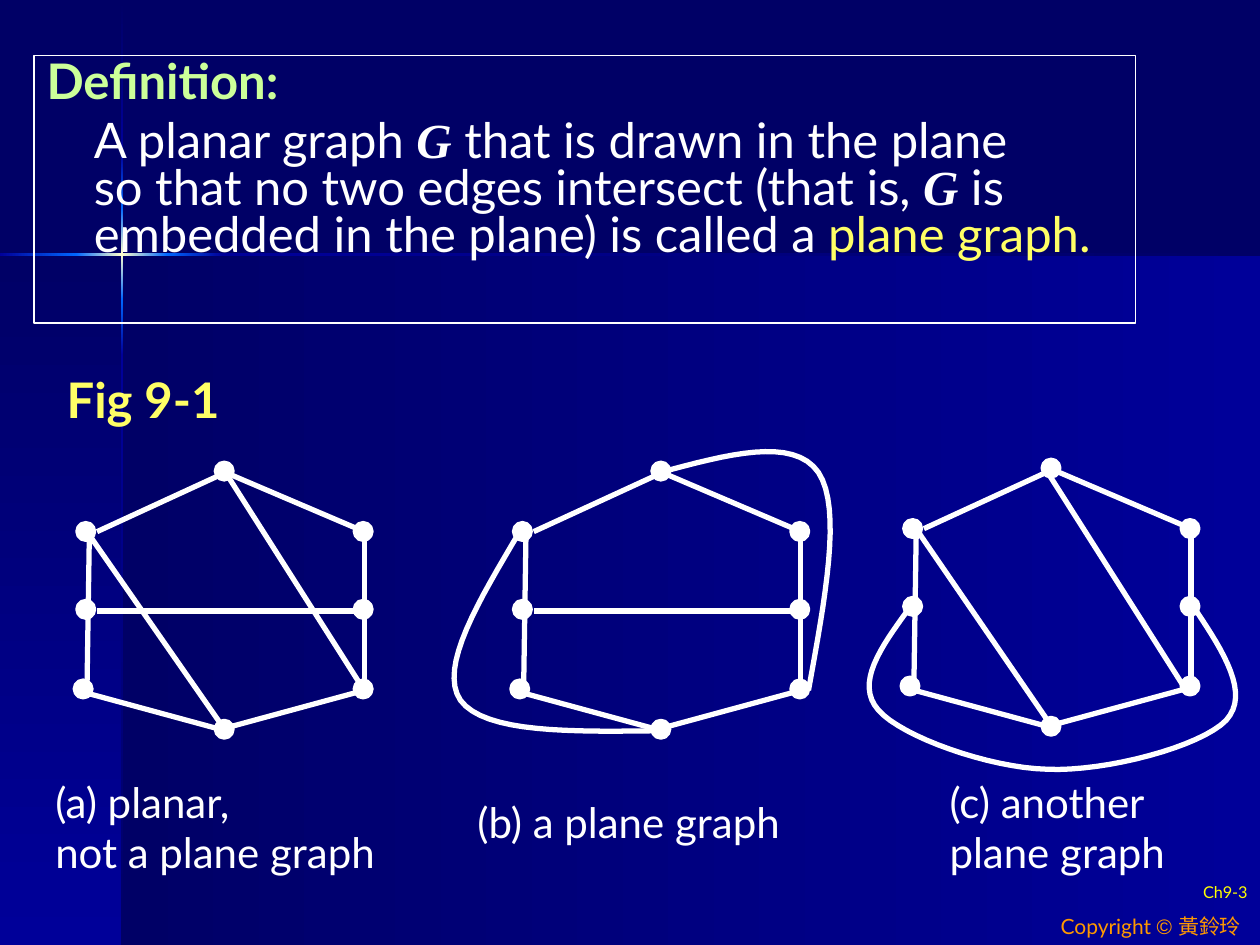
from dataclasses import dataclass

from lxml.etree import SubElement
from pptx import Presentation
from pptx.dml.color import RGBColor
from pptx.enum.shapes import MSO_CONNECTOR, MSO_SHAPE
from pptx.enum.text import MSO_ANCHOR, PP_ALIGN
from pptx.oxml.ns import qn
from pptx.util import Pt


@dataclass(frozen=True)
class Theme:
    navy: str = "000066"
    blue: str = "000099"
    glow: str = "0066FF"
    spark: str = "FFFFCC"
    white: str = "FFFFFF"
    lime: str = "CCFF99"
    lemon: str = "FFFF66"
    yellow: str = "FFFF00"
    orange: str = "FF9900"
    sans: str = "Lato"
    serif: str = "Times New Roman"
    symbol: str = "Arial"
    heading: float = 28
    caption: float = 24
    footer: float = 12
    number: float = 9.3
    edge: float = 3
    dot_line: float = 2
    frame: float = 0.75


THEME = Theme()
DOT = 10
NODES = [(80.6, 0), (1.5, 34.5), (160, 34.5), (1.5, 79), (160, 79),
         (0, 124.5), (160, 124.5), (80.6, 147.5)]
OUTLINE = [((8.6, 39.6), (7.2, 130.3)), ((86.4, 5.8), (13, 39.6)),
           ((86.4, 5.8), (165.6, 39.6)), ((1.4, 130.3), (86.4, 153.4)),
           ((165.6, 130.3), (80.6, 153.4)), ((165.6, 39.6), (165.6, 130.3))]
MIDDLE = ((165.6, 85), (13, 85))
CROSSING = [((7.2, 39.6), (86.4, 153.4)), ((86.4, 5.8), (165.6, 130.3))]
PARALLEL = [((9.4, 41), (83.5, 149)), ((83.5, 7.2), (162.7, 131.8))]
RIGHT_LOOP = [(85, 5.8), (123, -4.3), (161.3, -15.1), (175.7, 5.8),
              (189.4, 26.6), (179.3, 78.5), (170, 130.3)]
LEFT_LOOP = [(5, 39.6), (-18, 78.5), (-41.8, 117.4), (-28.8, 136),
             (-15, 154.8), (34.6, 154), (85, 153.4)]
LOWER_LOOP = [(3.6, 86.4), (-11.5, 107.3), (-26.6, 128.2), (-13, 143.3),
              (0, 158.4), (50.4, 176.4), (83.5, 177.1), (116.6, 178.6),
              (171.4, 164.2), (185.8, 149), (199.4, 133.9), (184.3, 110.2),
              (168.5, 86.4)]


def color(code):
    return RGBColor.from_string(code)


def add_run(paragraph, text, size, code, font=THEME.sans, bold=False, italic=False):
    run = paragraph.add_run()
    run.text = text
    run.font.size = Pt(size)
    run.font.name = font
    run.font.bold = bold
    run.font.italic = italic
    run.font.color.rgb = color(code)


def add_text(slide, box, lines, size, code, bold=False, align=PP_ALIGN.LEFT):
    frame = slide.shapes.add_textbox(*map(Pt, box)).text_frame
    frame.word_wrap = True
    paragraph = frame.paragraphs[0]
    paragraph.alignment = align
    for index, line in enumerate(lines):
        if index:
            paragraph.add_line_break()
        add_run(paragraph, line, size, code, bold=bold)
    return paragraph


def add_band(slide, box, start, end, down):
    band = slide.shapes.add_shape(MSO_SHAPE.RECTANGLE, *map(Pt, box))
    band.shadow.inherit = False
    band.line.fill.background()
    band.fill.gradient()
    band.fill.gradient_angle = 270 if down else 0
    for stop, code in zip(band.fill.gradient_stops, (start, end)):
        stop.color.rgb = color(code)


def add_beam(slide, left, top, stops, down):
    for (start, first), (end, second) in zip(stops, stops[1:]):
        span = end - start
        box = (left, start, 1.5, span) if down else (start, top, span, 1.5)
        add_band(slide, box, first, second, down)


def add_backdrop(slide, width, height):
    slide.background.fill.solid()
    slide.background.fill.fore_color.rgb = color(THEME.navy)
    cross_x, cross_y = 70, 145.5
    add_band(slide, (cross_x, cross_y, width - cross_x, height - cross_y),
             THEME.navy, THEME.blue, False)
    add_band(slide, (0, cross_y, cross_x, height - cross_y),
             THEME.navy, THEME.blue, True)
    tints = [THEME.navy, THEME.blue, THEME.glow, THEME.spark,
             THEME.glow, THEME.blue, THEME.navy]
    add_beam(slide, 69, 0, list(zip((0, 87, 119, 145, 171, 203, height), tints)), True)
    add_beam(slide, 0, 144.7, list(zip((0, 43.5, 69.5, 95.5, 127.5, width), tints[1:])), False)


def add_definition(slide, box):
    panel = slide.shapes.add_shape(MSO_SHAPE.RECTANGLE, *map(Pt, box))
    panel.shadow.inherit = False
    panel.fill.background()
    panel.line.color.rgb = color(THEME.white)
    panel.line.width = Pt(THEME.frame)
    frame = panel.text_frame
    frame.word_wrap = True
    frame.vertical_anchor = MSO_ANCHOR.TOP
    term, body = frame.paragraphs[0], frame.add_paragraph()
    for paragraph in (term, body):
        paragraph.alignment = PP_ALIGN.LEFT
        paragraph.line_spacing = 0.8
        paragraph.space_before = Pt(7)
    body._p.get_or_add_pPr().set("marL", str(Pt(27)))

    def say(text, code=THEME.white):
        add_run(body, text, THEME.heading, code)

    def say_graph():
        add_run(body, "G", THEME.heading, THEME.white, THEME.serif, True, True)

    add_run(term, "Definition:", THEME.heading, THEME.lime, bold=True)
    say("A planar graph ")
    say_graph()
    say(" that is drawn in the plane")
    body.add_line_break()
    say("so that no two edges intersect (that is, ")
    say_graph()
    say(" is embedded in the plane) is called a ")
    say("plane graph.", THEME.lemon)


def bezier_points(controls, steps=16):
    for first in range(0, len(controls) - 1, 3):
        a, b, c, d = controls[first:first + 4]
        for step in range(1, steps + 1):
            t = step / steps
            u = 1 - t
            yield tuple(u**3 * p + 3 * u * u * t * q + 3 * u * t * t * r + t**3 * s
                        for p, q, r, s in zip(a, b, c, d))


def add_graph(slide, left, top, chords, loops=()):
    group = slide.shapes.add_group_shape().shapes

    def place(point):
        return Pt(left + point[0]), Pt(top + point[1])

    for start, end in OUTLINE + chords:
        edge = group.add_connector(MSO_CONNECTOR.STRAIGHT, *place(start), *place(end))
        edge.line.color.rgb = color(THEME.white)
        edge.line.width = Pt(THEME.edge)
        SubElement(edge._element.spPr, qn("a:effectLst"))
    for controls in loops:
        builder = group.build_freeform(*place(controls[0]))
        builder.add_line_segments([place(p) for p in bezier_points(controls)], close=False)
        loop = builder.convert_to_shape()
        loop.shadow.inherit = False
        loop.fill.background()
        loop.line.color.rgb = color(THEME.white)
        loop.line.width = Pt(THEME.edge)
    for node in NODES:
        dot = group.add_shape(MSO_SHAPE.OVAL, *place(node), Pt(DOT), Pt(DOT))
        dot.shadow.inherit = False
        dot.fill.solid()
        dot.fill.fore_color.rgb = color(THEME.white)
        dot.line.color.rgb = color(THEME.white)
        dot.line.width = Pt(THEME.dot_line)


def add_figure(slide):
    add_text(slide, (31, 207.5, 181, 41), ["Fig 9-1"], THEME.heading, THEME.lemon, bold=True)
    add_graph(slide, 42.5, 264.2, [MIDDLE] + CROSSING)
    add_graph(slide, 292, 264.2, [MIDDLE], [RIGHT_LOOP, LEFT_LOOP])
    add_graph(slide, 515, 262.5, PARALLEL, [LOWER_LOOP])
    for box, lines in (
        ((24.5, 440, 215, 65), ["(a) planar,", "not a plane graph"]),
        ((265.7, 451.5, 206, 36), ["(b) a plane graph"]),
        ((535.5, 440, 153.5, 65), ["(c) another", "plane graph"]),
    ):
        add_text(slide, box, lines, THEME.caption, THEME.white)


def add_footer(slide):
    number = add_text(slide, (570, 502.5, 150, 20), ["Ch9-3"],
                      THEME.number, THEME.yellow, align=PP_ALIGN.RIGHT)
    number.line_spacing = 0.8
    credit = add_text(slide, (599, 518.5, 124, 21.5), ["Copyright "], THEME.footer, THEME.orange)
    add_run(credit, "© ", THEME.footer, THEME.orange, THEME.symbol)
    add_run(credit, "黃鈴玲", THEME.footer, THEME.orange)


def main():
    deck = Presentation()
    deck.slide_width, deck.slide_height = Pt(720), Pt(540)
    slide = deck.slides.add_slide(deck.slide_layouts[6])
    add_backdrop(slide, 720, 540)
    add_definition(slide, (19.5, 31.7, 629.5, 153))
    add_figure(slide)
    add_footer(slide)
    deck.save("out.pptx")


if __name__ == "__main__":
    main()
